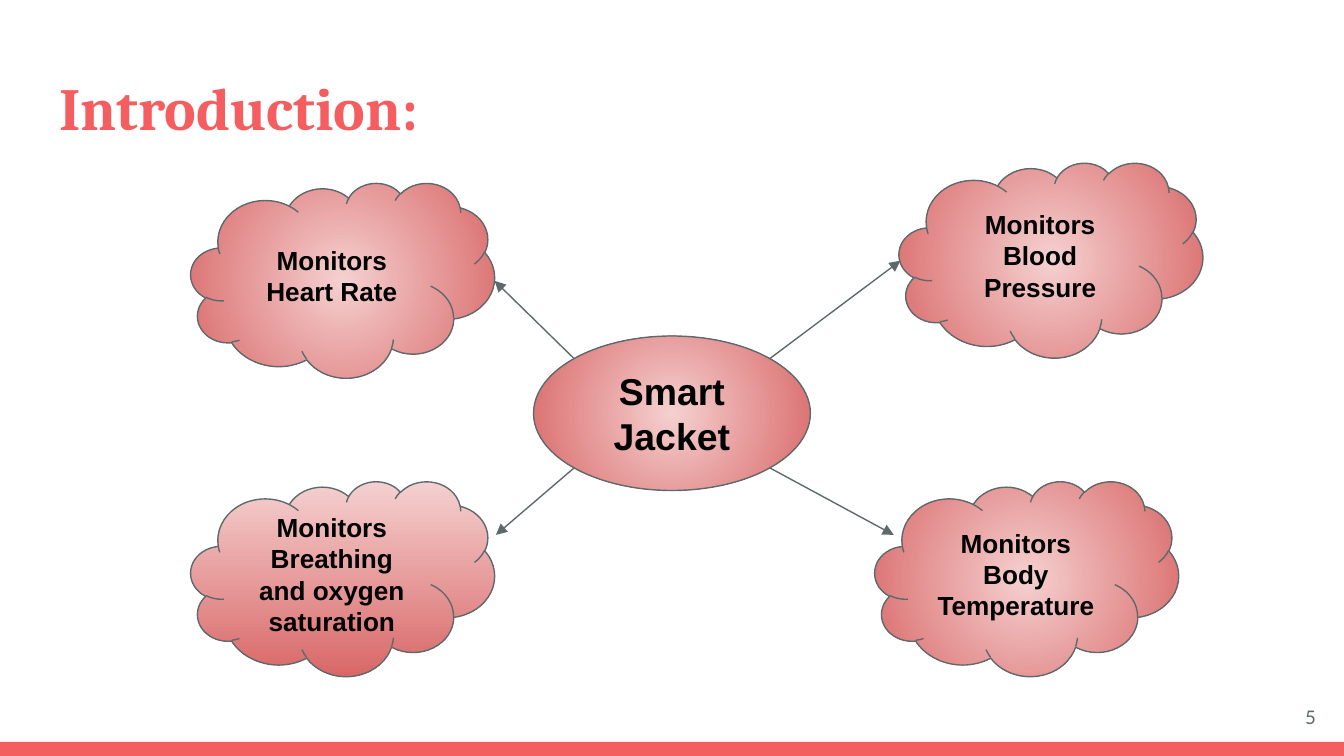
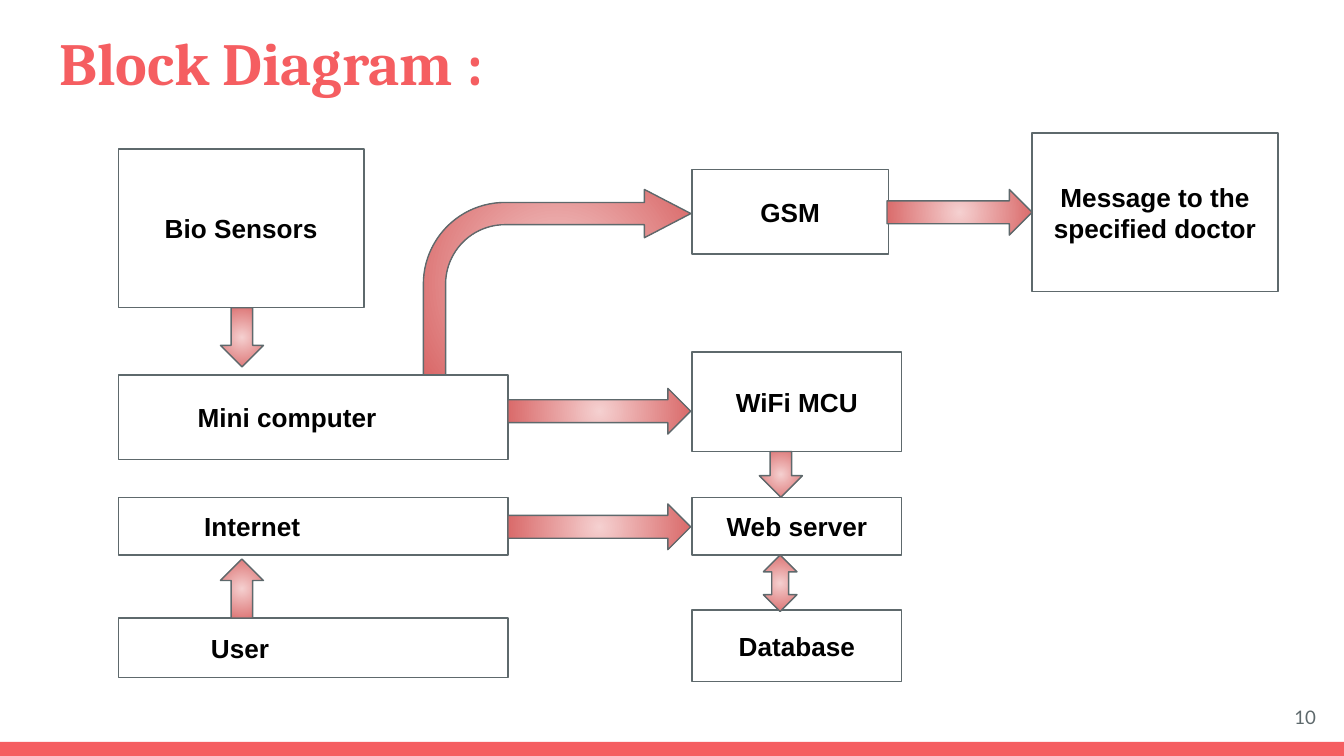
from math import sqrt

from lxml import etree
from pptx import Presentation
from pptx import util as u
from pptx.dml.color import RGBColor
from pptx.enum import shapes, text
from pptx.oxml.ns import qn

COLORS = {
    "accent": "F55E61",
    "slate": "5E696C",
    "light": "F5D0D0",
    "deep": "D96868",
    "white": "FFFFFF",
    "black": "000000",
}
WIDTH = 10
HEIGHT = WIDTH * 9 / 16
LINE_WIDTH = u.Pt(0.75)
SHAPE = shapes.MSO_SHAPE
ALIGN = text.PP_ALIGN
ANCHOR = text.MSO_ANCHOR


def color(name):
    return RGBColor.from_string(COLORS[name])


def inches(values):
    return [u.Inches(value) for value in values]


# Text and fills
def write(shape, words, size, font="Arial", color_name="black", bold=True,
          align=ALIGN.CENTER, anchor=ANCHOR.MIDDLE, indent=0):
    frame = shape.text_frame
    frame.word_wrap = True
    frame.auto_size = text.MSO_AUTO_SIZE.NONE
    frame.vertical_anchor = anchor
    frame.margin_left = u.Inches(0.1 + indent)
    frame.margin_right = frame.margin_top = frame.margin_bottom = u.Inches(0.1)
    frame.text = words
    paragraph = frame.paragraphs[0]
    paragraph.alignment = align
    paragraph.font.name = font
    paragraph.font.size = u.Pt(size)
    paragraph.font.bold = bold
    paragraph.font.color.rgb = color(color_name)


def fill_gradient(shape, radial=True):
    shape.fill.gradient()
    for stop, name in zip(shape.fill.gradient_stops, ("light", "deep")):
        stop.color.rgb = color(name)
    shape.fill.gradient_angle = 270
    if radial:
        linear = shape.element.find(".//" + qn("a:lin"))
        circle = etree.Element(qn("a:path"), {"path": "circle"})
        etree.SubElement(circle, qn("a:fillToRect"),
                         {side: "50000" for side in "ltrb"})
        linear.getparent().replace(linear, circle)


# Diagram elements
def add_outlined(slide, kind, at):
    shape = slide.shapes.add_shape(kind, *inches(at))
    shape.shadow.inherit = False
    shape.line.color.rgb = color("slate")
    shape.line.width = LINE_WIDTH
    return shape


def add_bubble(slide, kind, at, words, size=14, radial=True):
    bubble = add_outlined(slide, kind, at)
    fill_gradient(bubble, radial)
    write(bubble, words, size)


def add_box(slide, at, words, align=ALIGN.CENTER, indent=0):
    box = add_outlined(slide, SHAPE.RECTANGLE, at)
    box.fill.solid()
    box.fill.fore_color.rgb = color("white")
    write(box, words, 14, align=align, indent=indent)


def add_block_arrow(slide, kind, at, adjustments=()):
    arrow = add_outlined(slide, kind, at)
    fill_gradient(arrow)
    for index, value in enumerate(adjustments):
        arrow.adjustments[index] = value


def add_thin_arrow(slide, start, end):
    connector = slide.shapes.add_connector(
        shapes.MSO_CONNECTOR.STRAIGHT, *inches(start + end))
    connector.line.color.rgb = color("slate")
    connector.line.width = LINE_WIDTH
    outline = connector.element.find(".//" + qn("a:ln"))
    etree.SubElement(outline, qn("a:tailEnd"), {"type": "triangle"})
    etree.SubElement(outline.getparent(), qn("a:effectLst"))


# Parts shared by the slides
def add_band(slide, layout):
    """Draw the bottom band and move it to the layout."""
    band = slide.shapes.add_shape(
        SHAPE.RECTANGLE, *inches((0, 5.52, WIDTH, 0.11)))
    band.shadow.inherit = False
    band.fill.solid()
    band.fill.fore_color.rgb = color("accent")
    band.line.fill.background()
    layout.shapes.element.append(band.element)


def add_slide(presentation, layout, title, title_top, number):
    slide = presentation.slides.add_slide(layout)
    heading = slide.shapes.title
    heading.left, heading.top, heading.width, heading.height = inches(
        (0.34, title_top, 9.32, 0.68))
    write(heading, title, 32, "Cambria", "accent",
          align=ALIGN.LEFT, anchor=ANCHOR.TOP)
    number_box = slide.shapes.add_textbox(*inches((9.29, 5.12, 0.6, 0.43)))
    write(number_box, str(number), 10, "Lato", "slate", bold=False,
          align=ALIGN.RIGHT)
    return slide


# Slide contents
def fill_introduction(slide):
    left, top, width, height = hub = (3.97, 2.5, 2.06, 1.15)
    add_bubble(slide, SHAPE.OVAL, hub, "Smart Jacket", size=20)

    # Each cloud: left, top, label, radial fill, arrow side (x, y), arrow end
    clouds = [
        (6.69, 1.21, "Monitors Blood Pressure", True, (1, -1), (6.7, 1.94)),
        (6.51, 3.58, "Monitors Body Temperature", True, (1, 1), (6.65, 3.98)),
        (1.42, 3.58, "Monitors Breathing and oxygen saturation", False,
         (-1, 1), (3.69, 3.98)),
        (1.42, 1.36, "Monitors Heart Rate", True, (-1, -1), (3.68, 2.09)),
    ]
    for x, y, label, radial, (side_x, side_y), end in clouds:
        add_bubble(slide, SHAPE.CLOUD, (x, y, 2.26, 1.45), label,
                   radial=radial)
        # Arrows leave the ellipse at its diagonal points
        start = (left + width / 2 * (1 + side_x / sqrt(2)),
                 top + height / 2 * (1 + side_y / sqrt(2)))
        add_thin_arrow(slide, start, end)


def fill_block_diagram(slide):
    add_box(slide, (0.88, 1.11, 1.83, 1.18), "Bio Sensors")

    # Left column with indented labels
    left_rows = [
        (2.79, 0.63, "Mini computer", 0.49),
        (3.7, 0.43, "Internet", 0.54),
        (4.6, 0.44, "User", 0.59),
    ]
    for top, height, label, indent in left_rows:
        add_box(slide, (0.88, top, 2.9, height), label, ALIGN.LEFT, indent)

    # Centred boxes
    middle_rows = [
        (4.54, 0.53, "Database"),
        (3.7, 0.43, "Web server"),
        (2.62, 0.74, "WiFi MCU"),
    ]
    for top, height, label in middle_rows:
        add_box(slide, (5.15, top, 1.56, height), label)
    add_box(slide, (7.68, 0.99, 1.83, 1.18), "Message to the specified doctor")
    add_box(slide, (5.15, 1.26, 1.46, 0.63), "GSM")

    # Block arrows
    add_block_arrow(slide, SHAPE.DOWN_ARROW, (1.64, 2.29, 0.32, 0.44))
    add_block_arrow(slide, SHAPE.UP_ARROW, (1.64, 4.16, 0.32, 0.44))
    for left, top, width in ((3.78, 2.89, 1.36), (3.78, 3.75, 1.36),
                             (6.6, 1.41, 1.08)):
        add_block_arrow(slide, SHAPE.RIGHT_ARROW, (left, top, width, 0.34))
    add_block_arrow(slide, SHAPE.DOWN_ARROW, (5.65, 3.36, 0.32, 0.34))
    add_block_arrow(slide, SHAPE.UP_DOWN_ARROW, (5.68, 4.13, 0.25, 0.42))
    add_block_arrow(slide, SHAPE.BENT_ARROW, (3.15, 1.41, 1.99, 1.38),
                    (0.12, 0.13, 0.25, 0.44))


def main():
    presentation = Presentation()
    presentation.slide_width, presentation.slide_height = inches(
        (WIDTH, HEIGHT))
    layout = presentation.slide_layouts.get_by_name("Title Only")

    introduction = add_slide(presentation, layout, "Introduction:", 0.43, 5)
    add_band(introduction, layout)
    fill_introduction(introduction)

    diagram = add_slide(presentation, layout, "Block Diagram :", 0.09, 10)
    fill_block_diagram(diagram)

    presentation.save("out.pptx")


if __name__ == "__main__":
    main()
